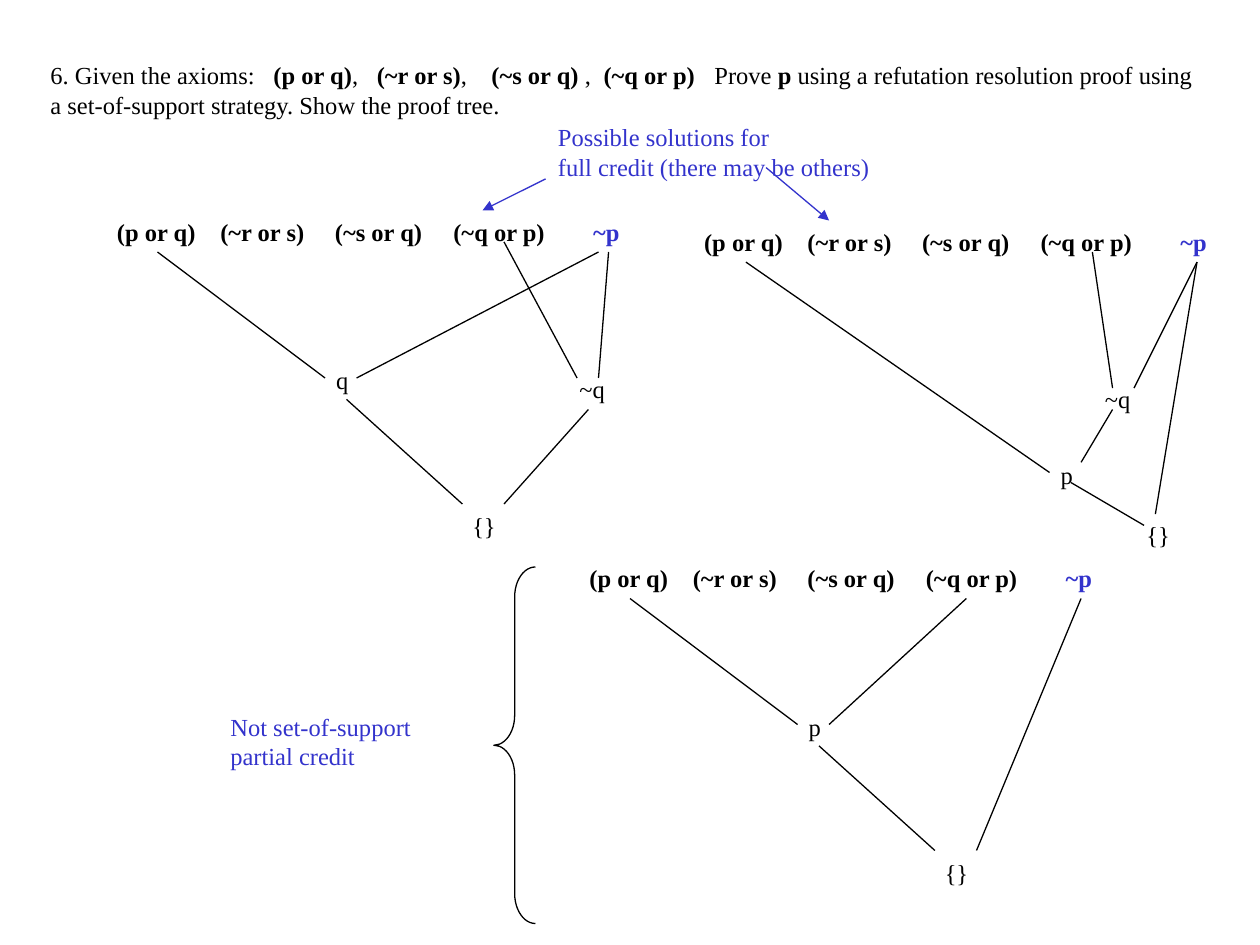
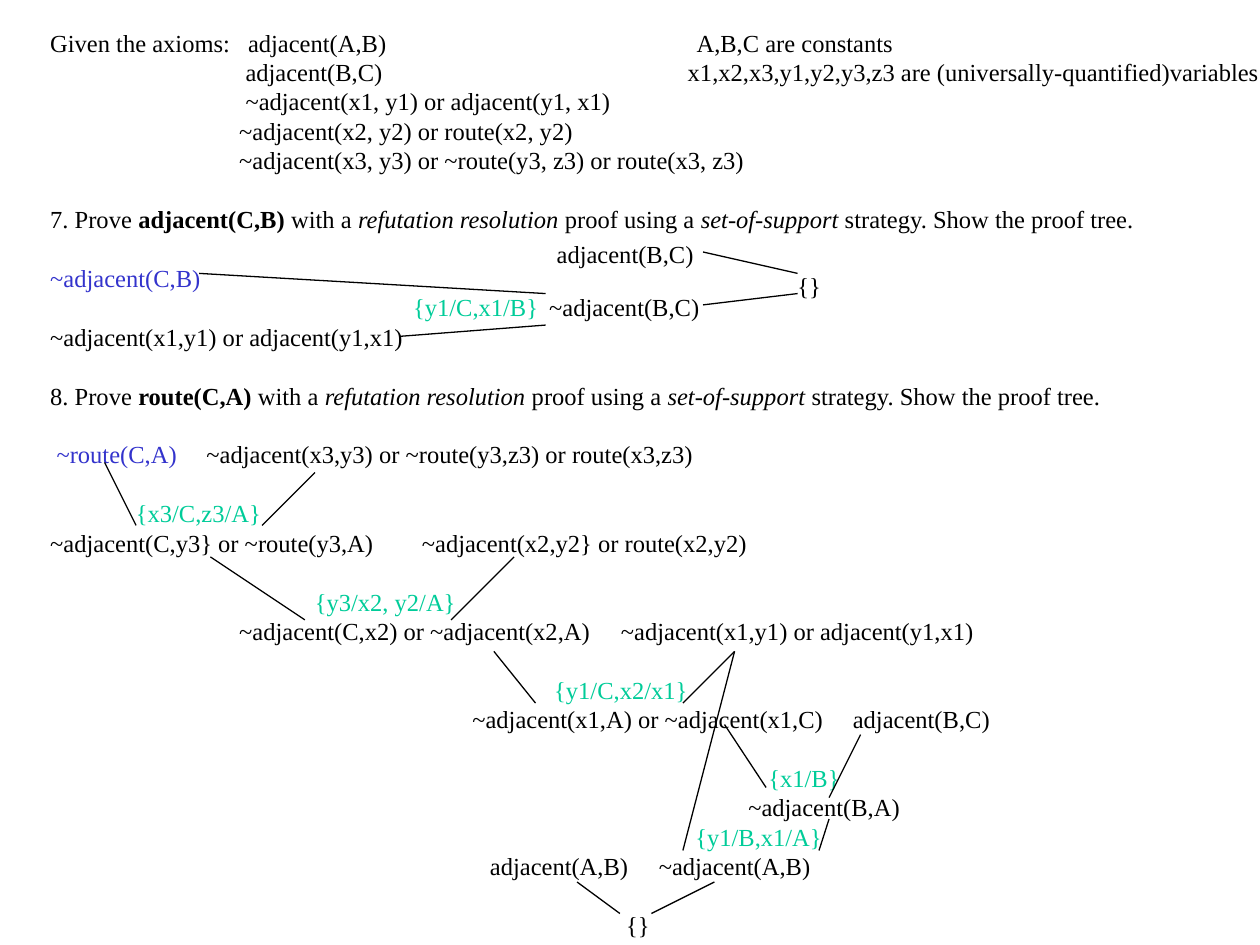
import pptx
import pptx.dml.color
import pptx.enum.dml
import pptx.enum.shapes
import pptx.enum.text
import pptx.oxml
import pptx.oxml.ns
import pptx.util
from lxml import etree

Inches = pptx.util.Inches
Pt = pptx.util.Pt
COLORS = {"ink": "000000", "blue": "3333CC", "green": "00CC99"}
FONT = "Times New Roman"
SIZE = 14
PITCH = 16.8
CLAUSES = "(p or q)\t(~r or s)\t(~s or q)\t(~q or p)\t"
STOPS = [0.82, 1.73, 2.67, 3.78]


def rgb(name):
    return pptx.dml.color.RGBColor.from_string(COLORS[name])


def child(parent, tag, **attrs):
    return etree.SubElement(parent, pptx.oxml.ns.qn(tag), **attrs)


def style(font, look):
    if "b" in look:
        font.bold = True
    if "i" in look:
        font.italic = True
    for name in COLORS:
        if name in look:
            font.color.rgb = rgb(name)


def line(*runs, stops=(), gap=0):
    pairs = [(run, ()) if isinstance(run, str) else (run[0], run[1:]) for run in runs]
    return pairs, stops, gap


def write(frame, lines):
    for index, (runs, stops, gap) in enumerate(lines):
        par = frame.add_paragraph() if index else frame.paragraphs[0]
        par.alignment = pptx.enum.text.PP_ALIGN.LEFT
        par.line_spacing = Pt(PITCH)
        par.space_before = Pt(PITCH * gap)
        if stops:
            tabs = child(par._p.get_or_add_pPr(), "a:tabLst")
            for stop in stops:
                child(tabs, "a:tab", pos=str(Inches(stop)), algn="l")
        par.font.name = FONT
        par.font.size = Pt(SIZE)
        par.font.color.rgb = rgb("ink")
        same = len({look for _, look in runs}) == 1
        if same:
            style(par.font, runs[0][1])
        for text, look in runs:
            run = par.add_run()
            run.text = text
            if not same:
                style(run.font, look)


def label(slide, left, top, width, lines):
    height = 0.1 + len(lines) * PITCH / 72
    box = slide.shapes.add_textbox(Inches(left), Inches(top), Inches(width), Inches(height))
    box.text_frame.word_wrap = True
    write(box.text_frame, lines)
    return box


def node(slide, left, top, text):
    label(slide, left, top, 0.5, [line(text)])


def link(slide, start, end, color="ink", arrow=False):
    edge = slide.shapes.add_connector(
        pptx.enum.shapes.MSO_CONNECTOR.STRAIGHT,
        *(Inches(value) for value in (*start, *end)))
    edge.line.color.rgb = rgb(color)
    edge.line.width = Pt(0.75)
    if arrow:
        child(edge.line._get_or_add_ln(), "a:tailEnd", type="triangle")
    child(edge._element.spPr, "a:effectLst")


def links(slide, left, top, edges):
    for x1, y1, x2, y2 in edges:
        link(slide, (left + x1, top + y1), (left + x2, top + y2))


def tree(slide, left, top, nodes, edges):
    label(slide, left, top, 4.4, [line((CLAUSES, "b"), ("~p", "b", "blue"), stops=STOPS)])
    for x, y, text in nodes:
        node(slide, left + x, top + y, text)
    links(slide, left, top, edges)


def heading(slide, left, top, width, height):
    title = slide.shapes.title
    title.left, title.top = Inches(left), Inches(top)
    title.width, title.height = Inches(width), Inches(height)
    frame = title.text_frame
    frame.word_wrap = True
    frame.auto_size = pptx.enum.text.MSO_AUTO_SIZE.NONE
    frame.vertical_anchor = pptx.enum.text.MSO_ANCHOR.TOP
    write(frame, [
        line("6. Given the axioms:\t", ("(p or q)", "b"), ",\t", ("(~r or s)", "b"), ",\t",
             ("(~s or q) ", "b"), ",\t", ("(~q or p)", "b"), "\tProve ", ("p", "b"),
             " using a refutation resolution proof using",
             stops=[1.77, 2.59, 3.5, 4.39, 5.27]),
        line("a set-of-support strategy. Show the proof tree."),
    ])


def credit(slide, left, top):
    label(slide, left, top, 2.8, [
        line(("Possible solutions for", "blue")),
        line(("full credit (there may be others)", "blue"))])
    link(slide, (left + 1.75, top + 0.41), (left + 2.25, top + 0.83), "blue", True)
    link(slide, (left, top + 0.5), (left - 0.5, top + 0.75), "blue", True)


def partial(slide, left, top):
    label(slide, left, top + 1.1, 1.8, [
        line(("Not set-of-support", "blue")), line(("partial credit", "blue"))])
    brace = slide.shapes.add_shape(
        pptx.enum.shapes.MSO_SHAPE.LEFT_BRACE,
        Inches(left + 2.19), Inches(top), Inches(0.33), Inches(2.83))
    brace.adjustments[0] = 0.72
    brace.shadow.inherit = False
    brace.fill.background()
    brace.line.color.rgb = rgb("ink")
    brace.line.width = Pt(0.75)


def trees(slide):
    heading(slide, 0.3, 0.43, 9.5, 0.57)
    base = [(1.74, 1.18), (2.82, 2.34)]
    shared = [(0.42, 0.33, 1.75, 1.33), (1.92, 1.5, 2.84, 2.33)]
    tree(slide, 0.83, 1.67,
         [(*base[0], "q"), (*base[1], "{}"), (3.67, 1.25, "~q")],
         shared + [(3.92, 0.33, 2, 1.33), (3.17, 0.25, 3.75, 1.33),
                   (4, 0.33, 3.92, 1.33), (3.84, 1.58, 3.17, 2.33)])
    tree(slide, 5.49, 1.75,
         [(3.18, 1.25, "~q"), (3.51, 2.33, "{}"), (2.83, 1.85, "p")],
         [(0.43, 0.33, 2.84, 2), (3.18, 0.25, 3.34, 1.33), (4.01, 0.33, 3.51, 1.33),
          (3.34, 1.5, 3.09, 1.92), (3.01, 2.08, 3.59, 2.42), (4.01, 0.33, 3.68, 2.33)])
    tree(slide, 4.58, 4.42,
         [(*base[0], "p"), (*base[1], "{}")],
         shared + [(3.09, 0.33, 2, 1.33), (4, 0.33, 3.17, 2.33)])
    partial(slide, 1.73, 4.5)
    credit(slide, 4.33, 0.92)


def prove(number, goal):
    return line(f"{number}. Prove ", (goal, "b"), " with a ", ("refutation resolution", "i"),
                " proof using a ", ("set-of-support", "i"),
                " strategy. Show the proof tree.", gap=1)


def axioms():
    return [
        line("Given the axioms:\tadjacent(A,B)\tA,B,C are constants", stops=[1.57, 5.13]),
        line("\tadjacent(B,C)\tx1,x2,x3,y1,y2,y3,z3 are (universally-quantified)variables",
             stops=[1.55, 5.06]),
        line("\t~adjacent(x1, y1) or adjacent(y1, x1)", stops=[1.55]),
        line("\t~adjacent(x2, y2) or route(x2, y2)", stops=[1.5]),
        line("\t~adjacent(x3, y3) or ~route(y3, z3) or route(x3, z3)", stops=[1.5]),
    ]


def swap(text, stop, gap=1):
    return line(("\t" + text, "green"), stops=[stop], gap=gap)


def steps():
    return [
        prove(7, "adjacent(C,B)"),
        line(("~adjacent(C,B)", "blue"), gap=1),
        line(("\t{y1/C,x1/B}", "green"), "\t~adjacent(B,C)", stops=[2.88, 3.96]),
        line("~adjacent(x1,y1) or adjacent(y1,x1)"),
        prove(8, "route(C,A)"),
        line(("\t~route(C,A)", "blue"), "\t~adjacent(x3,y3) or ~route(y3,z3) or route(x3,z3)",
             stops=[0.05, 1.24], gap=1),
        swap("{x3/C,z3/A}", 0.68),
        line("~adjacent(C,y3} or ~route(y3,A)\t~adjacent(x2,y2} or route(x2,y2)", stops=[2.95]),
        swap("{y3/x2, y2/A}", 2.1),
        line("\t~adjacent(C,x2) or ~adjacent(x2,A)\t~adjacent(x1,y1) or adjacent(y1,x1)",
             stops=[1.5, 4.53]),
        swap("{y1/C,x2/x1}", 4),
        line("\t~adjacent(x1,A) or ~adjacent(x1,C)\tadjacent(B,C)", stops=[3.35, 6.37]),
        swap("{x1/B}", 5.7),
        line("\t~adjacent(B,A)", stops=[5.54]),
        swap("{y1/B,x1/A}", 5.12, gap=0),
        line("\tadjacent(A,B)\t~adjacent(A,B)", stops=[3.49, 4.83]),
        line("\t{}", stops=[4.57], gap=1),
    ]


def proofs(slide, left, top, width, height):
    label(slide, left, top, width, axioms() + steps()).height = Inches(height)
    label(slide, left + 4.02, top + 1.68, 1.4, [line("adjacent(B,C)")])
    node(slide, left + 5.93, top + 1.93, "{}")
    links(slide, left, top, [
        (2.87, 2.5, 4.03, 2.41), (1.28, 2, 4.03, 2.16),
        (5.28, 1.83, 6.03, 2), (5.28, 2.25, 6.03, 2.16),
        (0.53, 3.5, 0.78, 4), (2.2, 3.58, 1.78, 4),
        (1.37, 4.25, 2.12, 4.75), (3.78, 4.25, 3.28, 4.75),
        (3.62, 5, 3.95, 5.41), (5.53, 5, 5.12, 5.41),
        (5.45, 5.58, 5.78, 6.08), (6.53, 5.66, 6.28, 6.16),
        (6.28, 6.33, 6.2, 6.58), (5.53, 5, 5.12, 6.58),
        (4.28, 6.83, 4.62, 7.08), (5.37, 6.83, 4.87, 7.08)])


def main():
    deck = pptx.Presentation()
    deck.slide_width, deck.slide_height = Inches(10), Inches(7.5)
    titled, blank = deck.slide_layouts[5], deck.slide_layouts[6]
    trees(deck.slides.add_slide(titled))
    proofs(deck.slides.add_slide(blank), 0.3, 0.17, 9.89, 7.33)
    deck.save("out.pptx")


if __name__ == "__main__":
    main()
